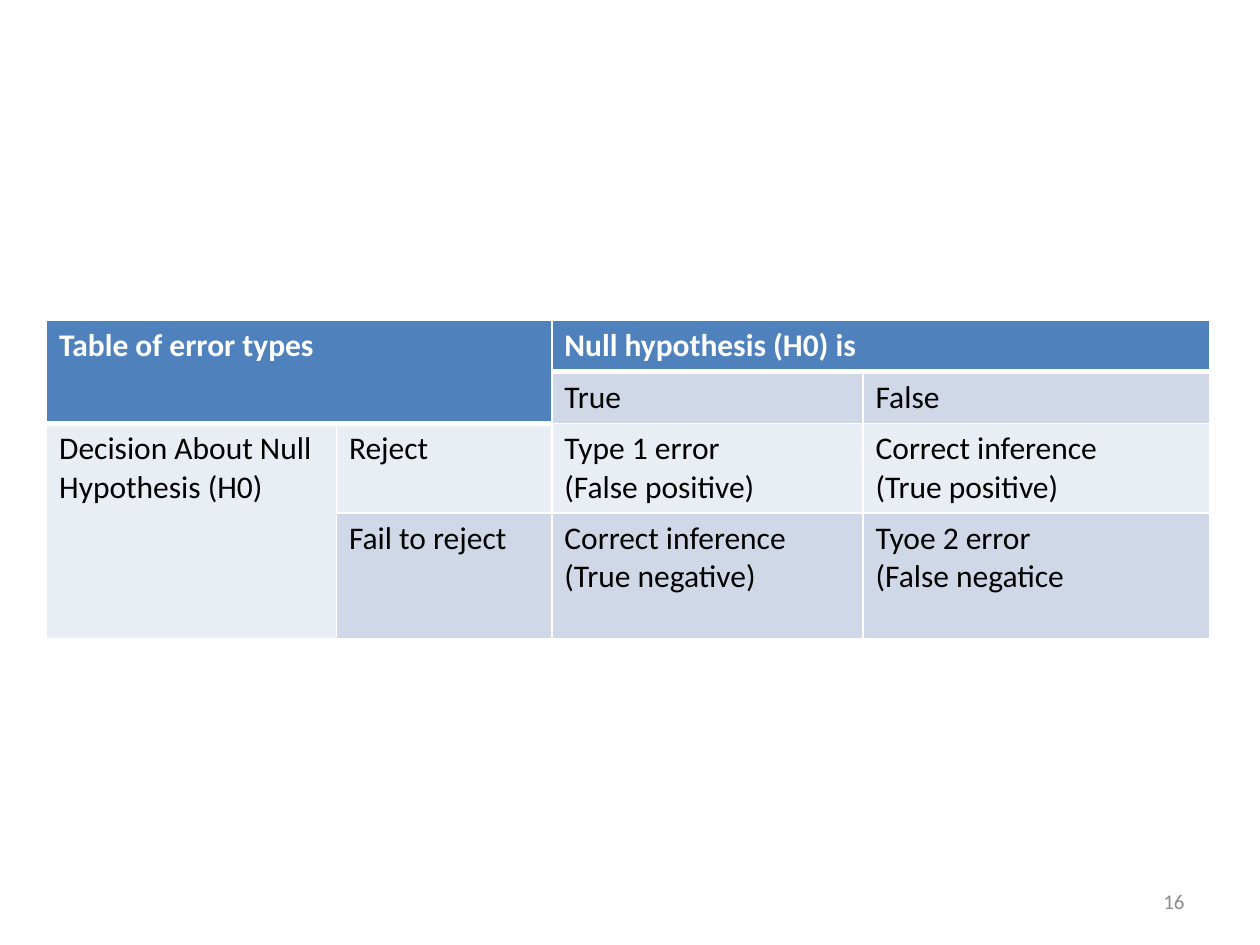
import pptx
import pptx.util
import pptx.dml.color
import pptx.enum.text
import lxml.etree
from pptx.util import Inches


def color(value):
    return pptx.dml.color.RGBColor.from_string(value)


def write(frame, text, size=18, ink="000000", bold=False, align=None):
    frame.text = text
    for para in frame.paragraphs:
        para.alignment = align
        for span in para.runs:
            span.font.name = "Calibri"
            span.font.size = pptx.util.Pt(size)
            span.font.bold = bold
            span.font.color.rgb = color(ink)


deck = pptx.Presentation()
deck.slide_width, deck.slide_height = Inches(10), Inches(7.5)
page = deck.slides.add_slide(deck.slide_layouts[6])

# Slide number
box = page.shapes.add_textbox(Inches(7.17), Inches(6.95), Inches(2.33), Inches(0.4))
box.text_frame.word_wrap = True
box.text_frame.vertical_anchor = pptx.enum.text.MSO_ANCHOR.MIDDLE
write(box.text_frame, "16", size=12, ink="8C8C8C", align=pptx.enum.text.PP_ALIGN.RIGHT)

# Table of error types: None marks a cell covered by a merged neighbour
rows = [
    ["Table of error types", None, "Null hypothesis (H0) is", None],
    [None, None, "True", "False"],
    ["Decision About Null Hypothesis (H0)", "Reject",
     "Type 1 error\n(False positive)", "Correct inference\n(True positive)"],
    [None, "Fail to reject",
     "Correct inference\n(True negative)", "Tyoe 2 error\n(False negatice"],
]
widths = [2.3, 1.71, 2.47, 2.75]
heights = [0.41, 0.41, 0.71, 1]
table = page.shapes.add_table(
    len(rows), len(widths), Inches(0.37), Inches(2.54),
    Inches(sum(widths)), Inches(sum(heights))).table
for column, width in zip(table.columns, widths):
    column.width = Inches(width)
for row, height in zip(table.rows, heights):
    row.height = Inches(height)

# Merged cells
for first, last in [((0, 0), (1, 1)), ((0, 2), (0, 3)), ((2, 0), (3, 0))]:
    table.cell(*first).merge(table.cell(*last))

# Cell borders, fills and text
header = {(0, 0), (0, 1), (0, 2), (0, 3), (1, 0), (1, 1)}
for r, texts in enumerate(rows):
    for c, text in enumerate(texts):
        cell = table.cell(r, c)
        is_header = (r, c) in header
        borders = {"L": 1, "R": 1,
                   "T": 3 if (r - 1, c) in header else 1,
                   "B": 3 if is_header else 1}
        properties = cell._tc.get_or_add_tcPr()
        for side, points in borders.items():
            properties.append(lxml.etree.fromstring(
                f'<a:ln{side} xmlns:a="http://schemas.openxmlformats.org/drawingml/2006/main"'
                f' w="{pptx.util.Pt(points)}"><a:solidFill><a:srgbClr val="FFFFFF"/>'
                f'</a:solidFill></a:ln{side}>'))
        band = "E9EDF4" if r == 2 or (r, c) == (3, 0) else "D0D8E8"
        cell.fill.solid()
        cell.fill.fore_color.rgb = color("4F81BD" if is_header else band)
        if text:
            write(cell.text_frame, text, ink="FFFFFF" if is_header else "000000", bold=is_header)

deck.save("out.pptx")
